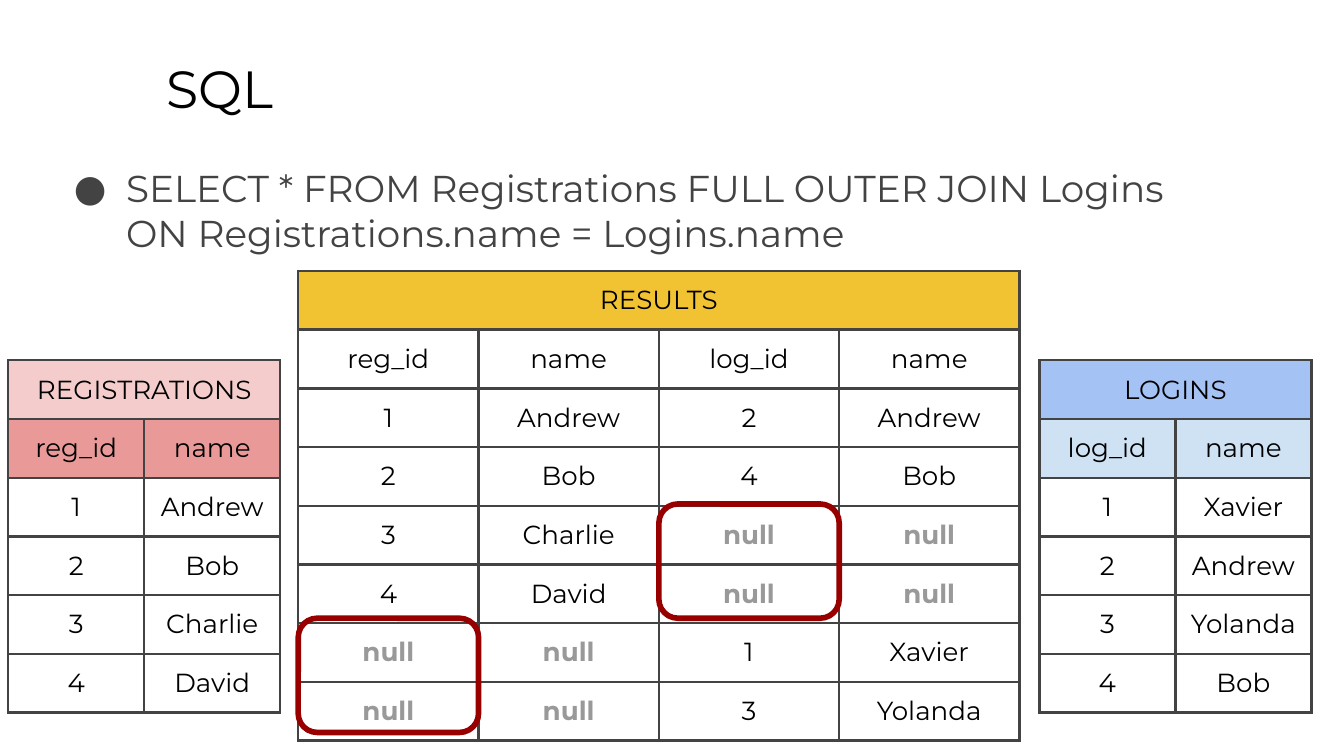
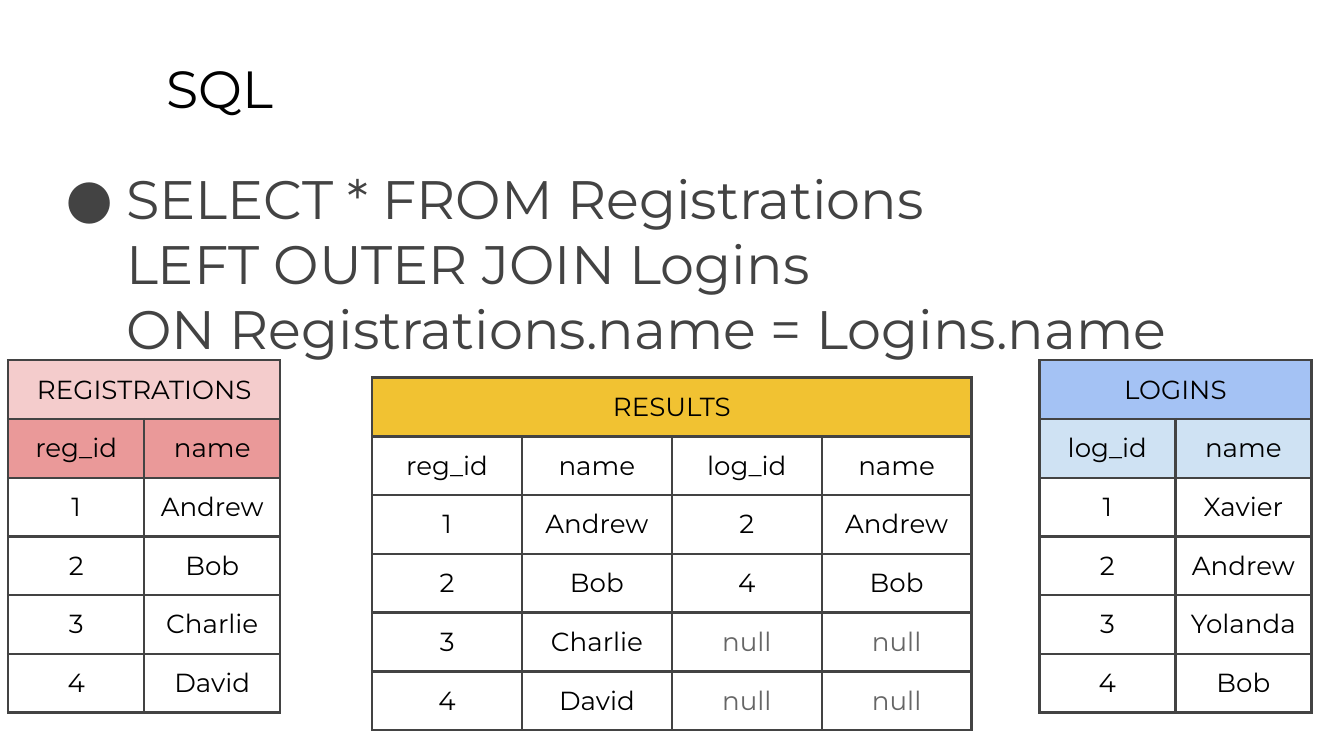
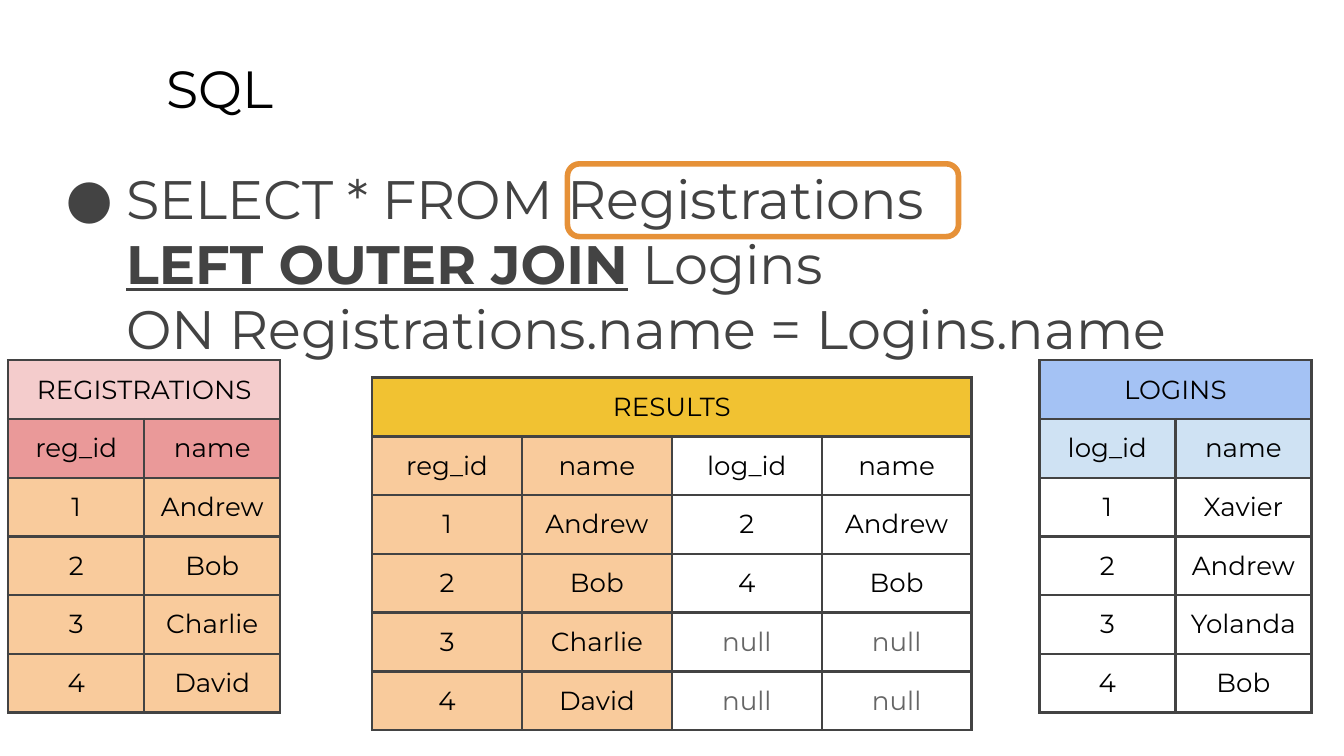
from dataclasses import dataclass

from lxml.etree import SubElement
from pptx import Presentation
from pptx.dml.color import RGBColor
from pptx.enum.shapes import MSO_SHAPE as Preset
from pptx.enum.text import MSO_ANCHOR as Anchor, MSO_AUTO_SIZE as AutoSize, PP_ALIGN as Align
from pptx.oxml.ns import qn
from pptx.util import Pt


@dataclass(frozen=True)
class Theme:
    font: str = "Montserrat"
    ink: str = "000000"
    body: str = "434343"
    border: str = "434343"
    null_strong: str = "999999"
    null_soft: str = "666666"
    rose: str = "F4CCCC"
    rose_dark: str = "EA9999"
    blue: str = "A4C2F4"
    blue_light: str = "CFE2F3"
    gold: str = "F1C232"
    peach: str = "F9CB9C"
    dark_red: str = "980000"
    orange: str = "E69138"
    title_size: float = 28
    cell_size: float = 14
    query_size: float = 29
    query_size_small: float = 20
    border_width: float = 1.5
    outline_width: float = 3


THEME = Theme()
INSET = 7.2
ROW_HEIGHT = 31.4
SOURCE_TOP = 193
SOURCE_COLUMN = 72.9
WIDE_RESULTS = (159.8, 145.1, 96.6)    # left, top, column width
NARROW_RESULTS = (199.4, 202.3, 80.3)

# Table contents
REGISTRATIONS = [("reg_id", "name"), ("1", "Andrew"), ("2", "Bob"),
                 ("3", "Charlie"), ("4", "David")]
LOGINS = [("log_id", "name"), ("1", "Xavier"), ("2", "Andrew"),
          ("3", "Yolanda"), ("4", "Bob")]
LEFT_JOIN = [("reg_id", "name", "log_id", "name"),
             ("1", "Andrew", "2", "Andrew"), ("2", "Bob", "4", "Bob"),
             ("3", "Charlie", "null", "null"), ("4", "David", "null", "null")]
FULL_JOIN = LEFT_JOIN + [("null", "null", "1", "Xavier"),
                         ("null", "null", "3", "Yolanda")]


# Text
def add_run(paragraph, text, size, color, bold=False, underline=False):
    run = paragraph.add_run()
    run.text = text
    font = run.font
    font.name, font.size = THEME.font, Pt(size)
    font.bold, font.underline = bold, underline
    font.color.rgb = RGBColor.from_string(color)


def set_frame(frame):
    frame.word_wrap = True
    frame.auto_size = AutoSize.NONE
    frame.vertical_anchor = Anchor.TOP
    frame.margin_left = frame.margin_right = Pt(INSET)
    frame.margin_top = frame.margin_bottom = Pt(INSET)


def set_indent(paragraph, hanging):
    """Indent a query line; a hanging indent also gets a bullet."""
    properties = paragraph._p.get_or_add_pPr()
    properties.set("marL", str(Pt(36)))
    properties.set("indent", str(-Pt(hanging)))
    if hanging:
        color = SubElement(properties, qn("a:buClr"))
        SubElement(color, qn("a:srgbClr"), val=THEME.body)
        SubElement(properties, qn("a:buFont"), typeface=THEME.font)
        SubElement(properties, qn("a:buChar"), char="●")
    else:
        SubElement(properties, qn("a:buNone"))


def add_title(slide, text):
    title = slide.shapes.title
    title.left, title.top, title.width, title.height = Pt(82), Pt(23), Pt(613.4), Pt(45.4)
    set_frame(title.text_frame)
    paragraph = title.text_frame.paragraphs[0]
    paragraph.alignment = Align.LEFT
    add_run(paragraph, text, THEME.title_size, THEME.ink)


def add_query(slide, lines, size, hanging):
    """Each line is a list of (text, emphasised) runs."""
    box = slide.shapes.add_textbox(Pt(24.5), Pt(81.4), Pt(684), Pt(269.3))
    frame = box.text_frame
    set_frame(frame)
    for index, line in enumerate(lines):
        paragraph = frame.add_paragraph() if index else frame.paragraphs[0]
        set_indent(paragraph, 0 if index else hanging)
        for text, strong in line:
            add_run(paragraph, text, size, THEME.body, strong, strong)


# Tables
def set_borders(cell):
    properties = cell._tc.get_or_add_tcPr()
    for side in ("lnL", "lnR", "lnT", "lnB"):
        line = SubElement(properties, qn(f"a:{side}"), w=str(Pt(THEME.border_width)))
        fill = SubElement(line, qn("a:solidFill"))
        SubElement(fill, qn("a:srgbClr"), val=THEME.border)


def set_cell(cell, text, fill, color=THEME.ink, bold=False):
    set_borders(cell)
    cell.margin_left = cell.margin_right = Pt(INSET)
    cell.margin_top = cell.margin_bottom = Pt(INSET)
    if fill:
        cell.fill.solid()
        cell.fill.fore_color.rgb = RGBColor.from_string(fill)
    else:
        cell.fill.background()
    paragraph = cell.text_frame.paragraphs[0]
    paragraph.alignment = Align.CENTER
    if text:
        add_run(paragraph, text, THEME.cell_size, color, bold)


def add_data_table(slide, heading, rows, place, heading_fill, fill_of, strong_nulls=False):
    """Draw a merged heading above rows; fill_of(row, column) colours the rows."""
    left, top, column_width = place
    row_count, column_count = len(rows) + 1, len(rows[0])
    table = slide.shapes.add_table(
        row_count, column_count, Pt(left), Pt(top),
        Pt(column_width * column_count), Pt(ROW_HEIGHT * row_count)).table
    table.first_row = table.horz_banding = False
    for column in table.columns:
        column.width = Pt(column_width)
    for row in table.rows:
        row.height = Pt(ROW_HEIGHT)
    for index in range(column_count):
        set_cell(table.cell(0, index), "" if index else heading, heading_fill)
    table.cell(0, 0).merge(table.cell(0, column_count - 1))

    null_color = THEME.null_strong if strong_nulls else THEME.null_soft
    for row_index, values in enumerate(rows):
        for index, value in enumerate(values):
            is_null = value == "null"
            set_cell(table.cell(row_index + 1, index), value, fill_of(row_index, index),
                     null_color if is_null else THEME.ink, is_null and strong_nulls)


def add_source_tables(slide, registration_fill=None):
    add_data_table(slide, "REGISTRATIONS", REGISTRATIONS, (4.4, SOURCE_TOP, SOURCE_COLUMN),
                   THEME.rose, lambda row, column: registration_fill if row else THEME.rose_dark)
    add_data_table(slide, "LOGINS", LOGINS, (556.8, SOURCE_TOP, SOURCE_COLUMN),
                   THEME.blue, lambda row, column: None if row else THEME.blue_light)


def add_results(slide, rows, place, registration_fill=None, strong_nulls=False):
    add_data_table(slide, "RESULTS", rows, place, THEME.gold,
                   lambda row, column: registration_fill if column < 2 else None, strong_nulls)


# Highlights
def add_outline(slide, left, top, width, height, color):
    shape = slide.shapes.add_shape(Preset.ROUNDED_RECTANGLE,
                                   Pt(left), Pt(top), Pt(width), Pt(height))
    shape.shadow.inherit = False
    shape.fill.background()
    shape.line.color.rgb = RGBColor.from_string(color)
    shape.line.width = Pt(THEME.outline_width)


# Slides
def new_slide(presentation):
    slide = presentation.slides.add_slide(presentation.slide_layouts[5])
    add_title(slide, "SQL")
    return slide


def add_full_join_slide(presentation):
    slide = new_slide(presentation)
    add_query(slide, [[("SELECT * FROM Registrations FULL OUTER JOIN Logins", False)],
                      [("ON Registrations.name = Logins.name", False)]],
              THEME.query_size_small, 28)
    add_source_tables(slide)
    add_results(slide, FULL_JOIN, WIDE_RESULTS, strong_nulls=True)
    # The unmatched ids on either side of the join
    left, _, width = WIDE_RESULTS
    height = 61.2
    for step, column in enumerate((2, 0)):
        add_outline(slide, left + column * width, 270 + step * height,
                    width, height, THEME.dark_red)


def add_left_join_slide(presentation, highlighted):
    slide = new_slide(presentation)
    add_query(slide, [[("SELECT * FROM Registrations", False)],
                      [("LEFT OUTER JOIN", highlighted), (" Logins", False)],
                      [("ON Registrations.name = Logins.name", False)]],
              THEME.query_size, 32.4)
    registration_fill = THEME.peach if highlighted else None
    add_source_tables(slide, registration_fill)
    add_results(slide, LEFT_JOIN, NARROW_RESULTS, registration_fill)
    if highlighted:
        add_outline(slide, 304, 87.8, 209.5, 39, THEME.orange)


def main():
    presentation = Presentation()
    presentation.slide_width, presentation.slide_height = Pt(720), Pt(405)
    add_full_join_slide(presentation)
    add_left_join_slide(presentation, highlighted=False)
    add_left_join_slide(presentation, highlighted=True)
    presentation.save("out.pptx")


main()
